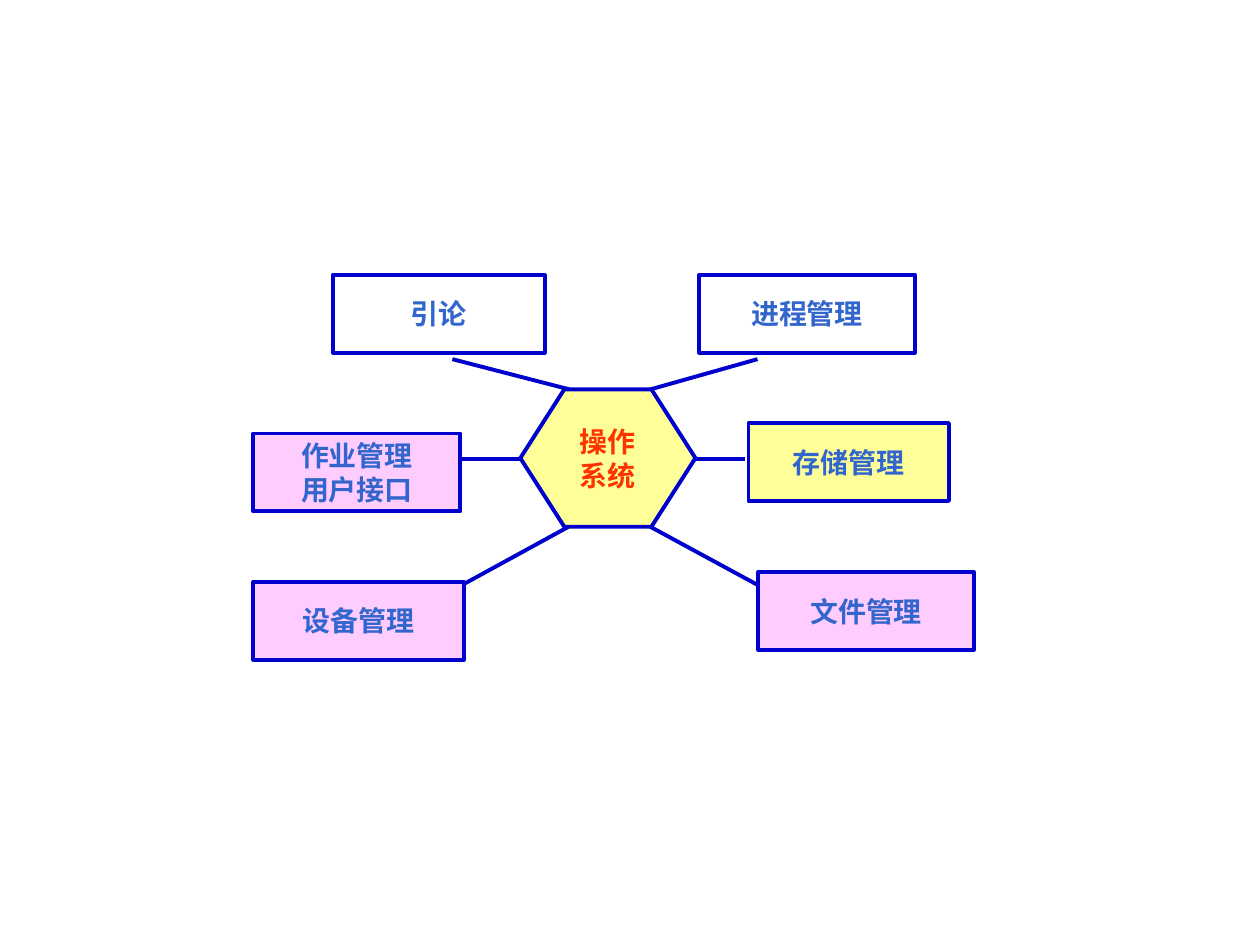
from dataclasses import dataclass

from lxml.etree import SubElement
from pptx import Presentation
from pptx.dml.color import RGBColor
from pptx.enum.shapes import MSO_CONNECTOR, MSO_SHAPE
from pptx.enum.text import MSO_ANCHOR, PP_ALIGN
from pptx.oxml.ns import qn
from pptx.shapes.autoshape import Shape
from pptx.slide import Slide
from pptx.util import Cm, Pt

WHITE, YELLOW, PINK = "FFFFFF", "FFFF99", "FFCCFF"
OUTLINE, TOPIC_TEXT, CENTER_TEXT = "0000CC", "3366CC", "FF3300"
LINE_WIDTH = Pt(2.25)
TOPIC_HEIGHT = 1.57


@dataclass
class Node:
    """A labelled shape, with lengths in centimetres."""
    lines: list[str]
    left: float
    top: float
    width: float
    fill: str
    height: float = TOPIC_HEIGHT
    text_color: str = TOPIC_TEXT
    kind: MSO_SHAPE = MSO_SHAPE.RECTANGLE


@dataclass
class Spoke:
    """A line from the centre towards a topic, in centimetres."""
    start_x: float
    start_y: float
    end_x: float
    end_y: float


CENTER = Node(["操作", "系统"], 10.49, 7.85, 3.53, YELLOW, 2.77,
              CENTER_TEXT, MSO_SHAPE.HEXAGON)

TOPICS = [
    Node(["引论"], 6.71, 5.54, 4.27, WHITE),
    Node(["进程管理"], 14.1, 5.54, 4.34, WHITE),
    Node(["设备管理"], 5.11, 11.73, 4.24, PINK),
    Node(["作业管理", "用户接口"], 5.11, 8.74, 4.17, PINK),
    Node(["存储管理"], 15.09, 8.53, 4.04, YELLOW),
    Node(["文件管理"], 15.29, 11.53, 4.34, PINK),
]

SPOKES = [
    Spoke(11.48, 7.85, 9.12, 7.24),
    Spoke(13.11, 7.85, 15.27, 7.24),
    Spoke(11.46, 10.62, 9.32, 11.79),
    Spoke(13.11, 10.62, 15.27, 11.79),
    Spoke(10.62, 9.25, 9.32, 9.25),
    Spoke(13.97, 9.25, 15.01, 9.25),
]


def color(value: str) -> RGBColor:
    return RGBColor.from_string(value)


def draw_spoke(slide: Slide, spoke: Spoke) -> None:
    connector = slide.shapes.add_connector(
        MSO_CONNECTOR.STRAIGHT, Cm(spoke.start_x), Cm(spoke.start_y),
        Cm(spoke.end_x), Cm(spoke.end_y))
    connector.line.color.rgb = color(OUTLINE)
    connector.line.width = LINE_WIDTH
    SubElement(connector._element.spPr, qn("a:effectLst"))


def draw_node(slide: Slide, node: Node) -> Shape:
    shape = slide.shapes.add_shape(
        node.kind, Cm(node.left), Cm(node.top), Cm(node.width), Cm(node.height))
    shape.shadow.inherit = False
    shape.fill.solid()
    shape.fill.fore_color.rgb = color(node.fill)
    shape.line.color.rgb = color(OUTLINE)
    shape.line.width = LINE_WIDTH

    frame = shape.text_frame
    frame.word_wrap = False
    frame.vertical_anchor = MSO_ANCHOR.MIDDLE
    for index, line in enumerate(node.lines):
        paragraph = frame.add_paragraph() if index else frame.paragraphs[0]
        paragraph.alignment = PP_ALIGN.CENTER
        run = paragraph.add_run()
        run.text = line
        run.font.name = "Arial"
        run.font.size = Pt(16)
        run.font.bold = True
        run.font.color.rgb = color(node.text_color)
    return shape


def main() -> None:
    presentation = Presentation()
    presentation.slide_width, presentation.slide_height = Cm(25.4), Cm(19.05)
    slide = presentation.slides.add_slide(presentation.slide_layouts[6])

    # Spokes lie behind the nodes
    for spoke in SPOKES:
        draw_spoke(slide, spoke)

    # Central subject
    hexagon = draw_node(slide, CENTER)
    hexagon.adjustments[0] = 0.32

    # Surrounding topics
    for topic in TOPICS:
        draw_node(slide, topic)

    presentation.save("out.pptx")


if __name__ == "__main__":
    main()
